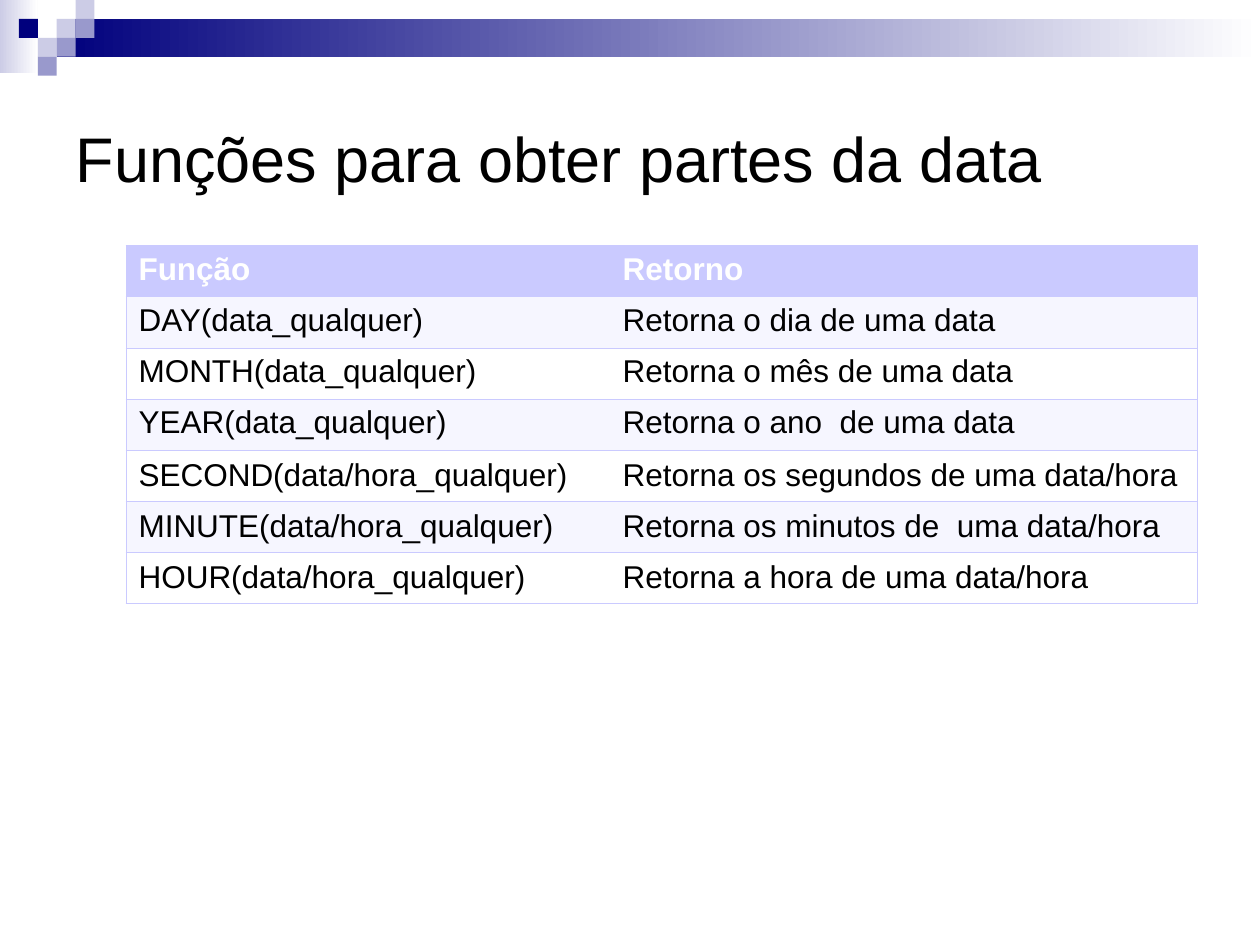
from pptx import Presentation
from pptx.dml.color import RGBColor
from pptx.enum.shapes import MSO_SHAPE as SHAPE
from pptx.enum.text import MSO_ANCHOR as ANCHOR, PP_ALIGN as ALIGN
from pptx.oxml import parse_xml
from pptx.oxml.ns import nsdecls
from pptx.util import Inches, Pt

NAVY = RGBColor(0x00, 0x00, 0x7D)
MID = RGBColor(0x99, 0x99, 0xCC)
LIGHT = RGBColor(0xCC, 0xCC, 0xE6)
LILAC = RGBColor(0xCA, 0xCA, 0xFF)
PALE = RGBColor(0xF6, 0xF6, 0xFF)
WHITE = RGBColor(0xFF, 0xFF, 0xFF)
BLACK = RGBColor(0x00, 0x00, 0x00)

UNIT = 0.15
SQUARES = [(3, 1, LIGHT), (4, 0, LIGHT), (4, 1, MID), (2, 2, LIGHT),
           (1, 1, NAVY), (3, 2, MID), (2, 3, MID)]
ROWS = [
    ("Função", "Retorno"),
    ("DAY(data_qualquer)", "Retorna o dia de uma data"),
    ("MONTH(data_qualquer)", "Retorna o mês de uma data"),
    ("YEAR(data_qualquer)", "Retorna o ano  de uma data"),
    ("SECOND(data/hora_qualquer)", "Retorna os segundos de uma data/hora"),
    ("MINUTE(data/hora_qualquer)", "Retorna os minutos de  uma data/hora"),
    ("HOUR(data/hora_qualquer)", "Retorna a hora de uma data/hora"),
]
COL_SHARES = (0.452, 0.548)
FIRST_MIDDLE_ROW = 4


def set_font(p, size, color, bold=False):
    """Format the font of a paragraph's runs."""
    for r in p.runs:
        for name, value in {"name": "Arial", "size": Pt(size), "bold": bold}.items():
            setattr(r.font, name, value)
        r.font.color.rgb = color


def add_rect(slide, box, *colors):
    """Add a borderless rectangle, solid or fading from left to right."""
    sp = slide.shapes.add_shape(SHAPE.RECTANGLE, *map(Inches, box))
    sp.shadow.inherit = False
    sp.line.fill.background()
    if len(colors) == 1:
        sp.fill.solid()
        sp.fill.fore_color.rgb = colors[0]
        return
    sp.fill.gradient()
    sp.fill.gradient_angle = 0
    for stop, color in zip(sp.fill.gradient_stops, colors):
        stop.color.rgb = color


def add_header(slide, left, top, width):
    """Draw the fading bands and the mosaic of squares."""
    add_rect(slide, (left, top, 2 * UNIT, 0.58), LIGHT, WHITE)
    add_rect(slide, (left + 3 * UNIT, top + UNIT, width - 3 * UNIT, 2 * UNIT), NAVY, WHITE)
    for col, row, color in SQUARES:
        add_rect(slide, (left + col * UNIT, top + row * UNIT, UNIT, UNIT), color)


def add_title(slide, text, box):
    """Place and format the title placeholder."""
    sp = slide.shapes.title
    for name, value in zip(("left", "top", "width", "height"), box):
        setattr(sp, name, Inches(value))
    tf = sp.text_frame
    tf.text = text
    tf.vertical_anchor = ANCHOR.MIDDLE
    p = tf.paragraphs[0]
    p.alignment = ALIGN.LEFT
    set_font(p, 36, BLACK)


def set_borders(cell, sides):
    """Line the given sides of a cell and clear the others."""
    for side in "LRTB":
        paint = (f'<a:solidFill><a:srgbClr val="{LILAC}"/></a:solidFill>'
                 if side in sides else "<a:noFill/>")
        cell._tc.get_or_add_tcPr().append(parse_xml(
            f'<a:ln{side} {nsdecls("a")} w="{Pt(0.45)}">{paint}</a:ln{side}>'))


def add_function_table(slide, left, top, width, height):
    """Add the table of functions and what they return."""
    table = slide.shapes.add_table(
        len(ROWS), len(COL_SHARES), *map(Inches, (left, top, width, height))).table
    for column, share in zip(table.columns, COL_SHARES):
        column.width = Inches(width * share)
    for i, row in enumerate(ROWS):
        table.rows[i].height = Inches(height / len(ROWS))
        fill = LILAC if i == 0 else PALE if i % 2 else WHITE
        for j, text in enumerate(row):
            cell = table.cell(i, j)
            cell.text = text
            cell.vertical_anchor = ANCHOR.MIDDLE if i >= FIRST_MIDDLE_ROW else ANCHOR.TOP
            set_borders(cell, "LTB" if j == 0 else "RTB")
            cell.fill.solid()
            cell.fill.fore_color.rgb = fill
            set_font(cell.text_frame.paragraphs[0], 18, BLACK if i else WHITE, i == 0)


def main():
    """Build and save the slide."""
    prs = Presentation()
    prs.slide_width, prs.slide_height = Inches(10), Inches(7.5)
    slide = prs.slides.add_slide(prs.slide_layouts[5])
    add_header(slide, 0, 0, 10)
    add_title(slide, "Funções para obter partes da data", (0.5, 0.5, 9, 1.5))
    add_function_table(slide, 1, 1.95, 8.5, 2.84)
    prs.save("out.pptx")


if __name__ == "__main__":
    main()
